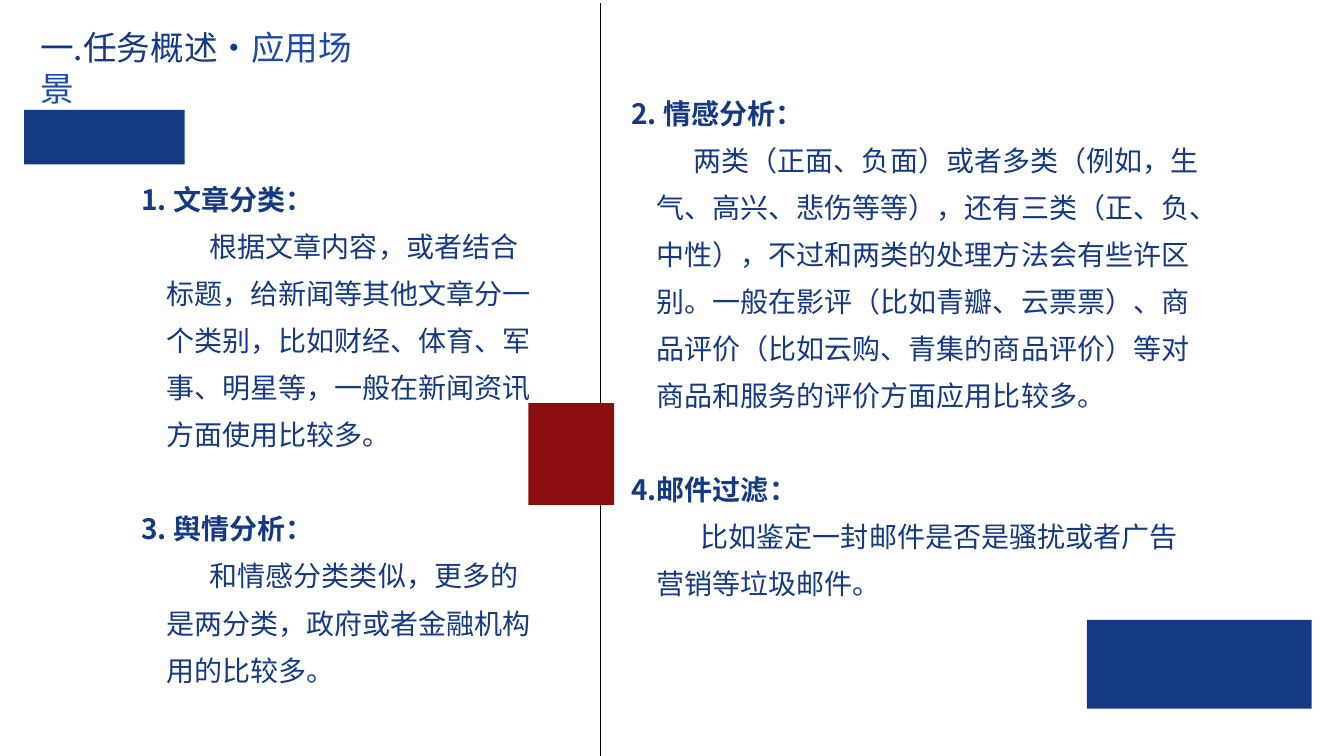
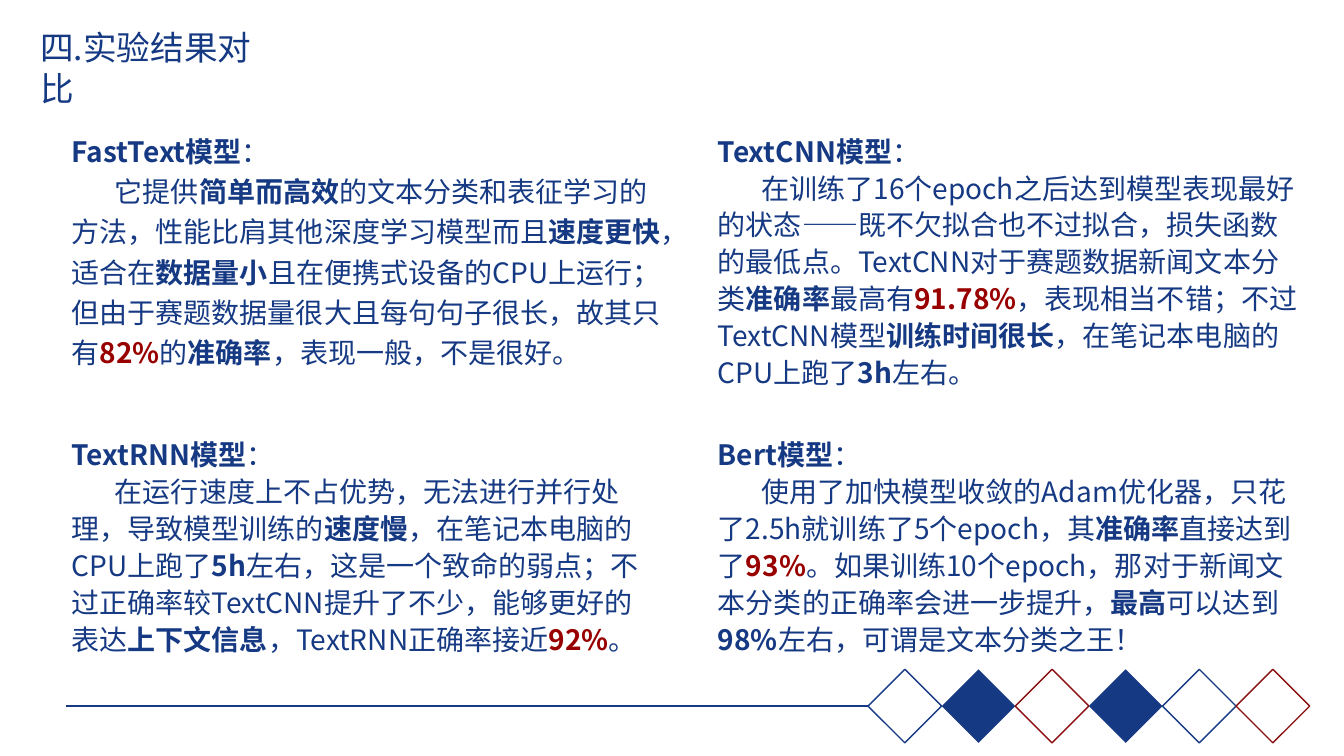
from dataclasses import dataclass

from lxml import etree
from pptx import Presentation
from pptx.dml.color import RGBColor
from pptx.enum.shapes import MSO_CONNECTOR, MSO_SHAPE
from pptx.enum.text import MSO_ANCHOR, MSO_AUTO_SIZE, PP_ALIGN
from pptx.oxml.ns import qn
from pptx.util import Inches, Pt

RECTANGLE = MSO_SHAPE.RECTANGLE
DIAMOND = MSO_SHAPE.DIAMOND
STRAIGHT = MSO_CONNECTOR.STRAIGHT
TOP = MSO_ANCHOR.TOP
LEFT = PP_ALIGN.LEFT
NO_FIT = MSO_AUTO_SIZE.NONE


@dataclass(frozen=True)
class Theme:
    navy: RGBColor = RGBColor.from_string("153983")
    blue: RGBColor = RGBColor.from_string("1B4AA9")
    maroon: RGBColor = RGBColor.from_string("8A0E0E")
    red: RGBColor = RGBColor.from_string("980000")
    black: RGBColor = RGBColor.from_string("000000")
    font: str = "Noto Sans CJK SC"
    title_size: int = 24
    body_size: int = 20


theme = Theme()


def fill_placeholder(box, place, paragraphs, size):
    box.left, box.top, box.width, box.height = [Inches(value) for value in place]
    frame = box.text_frame
    frame.word_wrap = True
    frame.auto_size = NO_FIT
    frame.vertical_anchor = TOP
    for index, (text, margin, indent, spacing, before) in enumerate(paragraphs):
        para = frame.add_paragraph() if index else frame.paragraphs[0]
        properties = para._p.get_or_add_pPr()
        properties.set("marL", str(Inches(margin)))
        properties.set("indent", str(Inches(indent)))
        etree.SubElement(properties, qn("a:buNone"))
        para.alignment = LEFT
        para.line_spacing = spacing
        para.space_before = Pt(before)
        para.font.name = theme.font
        para.font.size = Pt(size)
        para.font.color.rgb = theme.navy
        east_asian = etree.SubElement(properties.find(qn("a:defRPr")), qn("a:ea"))
        east_asian.set("typeface", theme.font)
        for piece in filter(None, text.split("|")):
            span = para.add_run()
            span.text = piece.lstrip("*!~")
            span.font.bold = piece[0] in "*!"
            if piece[0] in "!~":
                span.font.color.rgb = theme.red if piece[0] == "!" else theme.blue


def add_mark(page, kind, place, fill=None, line=None):
    left, top, width, height = [Inches(value) for value in place]
    if kind is STRAIGHT:
        mark = page.shapes.add_connector(kind, left, top, left + width, top + height)
        etree.SubElement(mark._element.spPr, qn("a:effectLst"))
    else:
        mark = page.shapes.add_shape(kind, left, top, width, height)
        mark.shadow.inherit = False
        if fill:
            mark.fill.solid()
            mark.fill.fore_color.rgb = fill
        else:
            mark.fill.background()
    if line:
        color, weight = line
        mark.line.color.rgb = color
        mark.line.width = Pt(weight)
    else:
        mark.line.fill.background()


deck = Presentation()
deck.slide_width, deck.slide_height = Inches(13.33), Inches(7.5)
two_columns, four_blocks = deck.slide_layouts[3], deck.slide_layouts[4]

pages = []
for layout, title, width in (
    (two_columns, "一.任务概述•|~应用场景", 3.43),
    (four_blocks, "四.实验结果对比", 2.61),
):
    page = deck.slides.add_slide(layout)
    fill_placeholder(page.shapes.title, (0.3, 0.22, width, 0.5),
                     [(title, 0, 0, 1.0, 0)], theme.title_size)
    pages.append(page)
scenario_page, result_page = pages

scenarios = (
    ((1.3, 1.63, 4.12, 5.75), (
        ("1. 文章分类：", 0.43,
         "根据文章内容，或者结合标题，给新闻等其他文章分一个类别，比如财经、体育、军事、明星等，"
         "一般在新闻资讯方面使用比较多。"),
        ("3. 舆情分析：", 0.43,
         "和情感分类类似，更多的是两分类，政府或者金融机构用的比较多。"),
    )),
    ((6.16, 0.77, 5.87, 5.28), (
        ("2. 情感分析：", 0.37,
         "两类（正面、负面）或者多类（例如，生气、高兴、悲伤等等），还有三类（正、负、中性），"
         "不过和两类的处理方法会有些许区别。一般在影评（比如青瓣、云票票）、"
         "商品评价（比如云购、青集的商品评价）等对商品和服务的评价方面应用比较多。"),
        ("4.邮件过滤：", 0.44,
         "比如鉴定一封邮件是否是骚扰或者广告营销等垃圾邮件。"),
    )),
)
blank_line = 33.6
for number, (place, entries) in enumerate(scenarios, 1):
    paragraphs = []
    for heading, indent, text in entries:
        before = blank_line if paragraphs else 0
        paragraphs.append(("*" + heading, 0.25, -0.25, 1.4, before))
        paragraphs.append((text, 0.25, indent, 1.4, 0))
    fill_placeholder(scenario_page.placeholders[number], place, paragraphs, theme.body_size)

add_mark(scenario_page, STRAIGHT, (5.95, 0.03, 0, 7.47), line=(theme.black, 0.5))
for place, color in (
    ((5.24, 4, 0.85, 1.01), theme.maroon),
    ((0.24, 1.09, 1.59, 0.54), theme.navy),
    ((10.78, 6.15, 2.23, 0.88), theme.navy),
):
    add_mark(scenario_page, RECTANGLE, place, fill=color)

models = (
    ("FastText", (0.61, 1.28, 6.06, 2.42), 1.2,
     "它提供|*简单而高效|的文本分类和表征学习的方法，性能比肩其他深度学习模型而且|*速度更快|"
     "，适合在|*数据量小|且在便携式设备的CPU上运行；但由于赛题数据量很大且每句句子很长，"
     "故其只有|!82%|的|*准确率|，表现一般，不是很好。"),
    ("TextCNN", (7.02, 1.28, 6.02, 2.66), 1.1,
     "在训练了16个epoch之后达到模型表现最好的状态——既不欠拟合也不过拟合，损失函数的最低点。"
     "TextCNN对于赛题数据新闻文本分类|*准确率|最高有|!91.78%|，表现相当不错；"
     "不过TextCNN模型|*训练时间很长|，在笔记本电脑的CPU上跑了|*3h|左右。"),
    ("TextRNN", (0.61, 4.29, 5.83, 2.64), 1.1,
     "在运行速度上不占优势，无法进行并行处理，导致模型训练的|*速度慢|，在笔记本电脑的CPU上跑了|"
     "*5h|左右，这是一个致命的弱点；不过正确率较TextCNN提升了不少，能够更好的表达|"
     "*上下文信息|，TextRNN正确率接近|!92%|。"),
    ("Bert", (7.02, 4.29, 5.9, 2.29), 1.1,
     "使用了加快模型收敛的Adam优化器，只花了2.5h就训练了5个epoch，其|*准确率|直接达到了|!93%|"
     "。如果训练10个epoch，那对于新闻文本分类的正确率会进一步提升，|*最高|可以达到|*98%|"
     "左右，可谓是文本分类之王！"),
)
for number, (name, place, spacing, text) in enumerate(models, 1):
    paragraphs = [(f"*{name}模型|：", 0, 0, 1.0, 0), (text, 0, 0.43, spacing, 0)]
    fill_placeholder(result_page.placeholders[number], place, paragraphs, theme.body_size)

diamond_left, diamond_size = 8.61, 0.73
add_mark(result_page, STRAIGHT, (0.65, 7, diamond_left - 0.65, 0), line=(theme.navy, 1.5))
for index, (fill, outline) in enumerate((
    (None, theme.navy), (theme.navy, None), (None, theme.maroon),
    (theme.navy, None), (None, theme.navy), (None, theme.maroon),
)):
    place = (diamond_left + index * diamond_size, 6.64, diamond_size, diamond_size)
    add_mark(result_page, DIAMOND, place, fill, (outline, 1) if outline else None)

deck.save("out.pptx")
